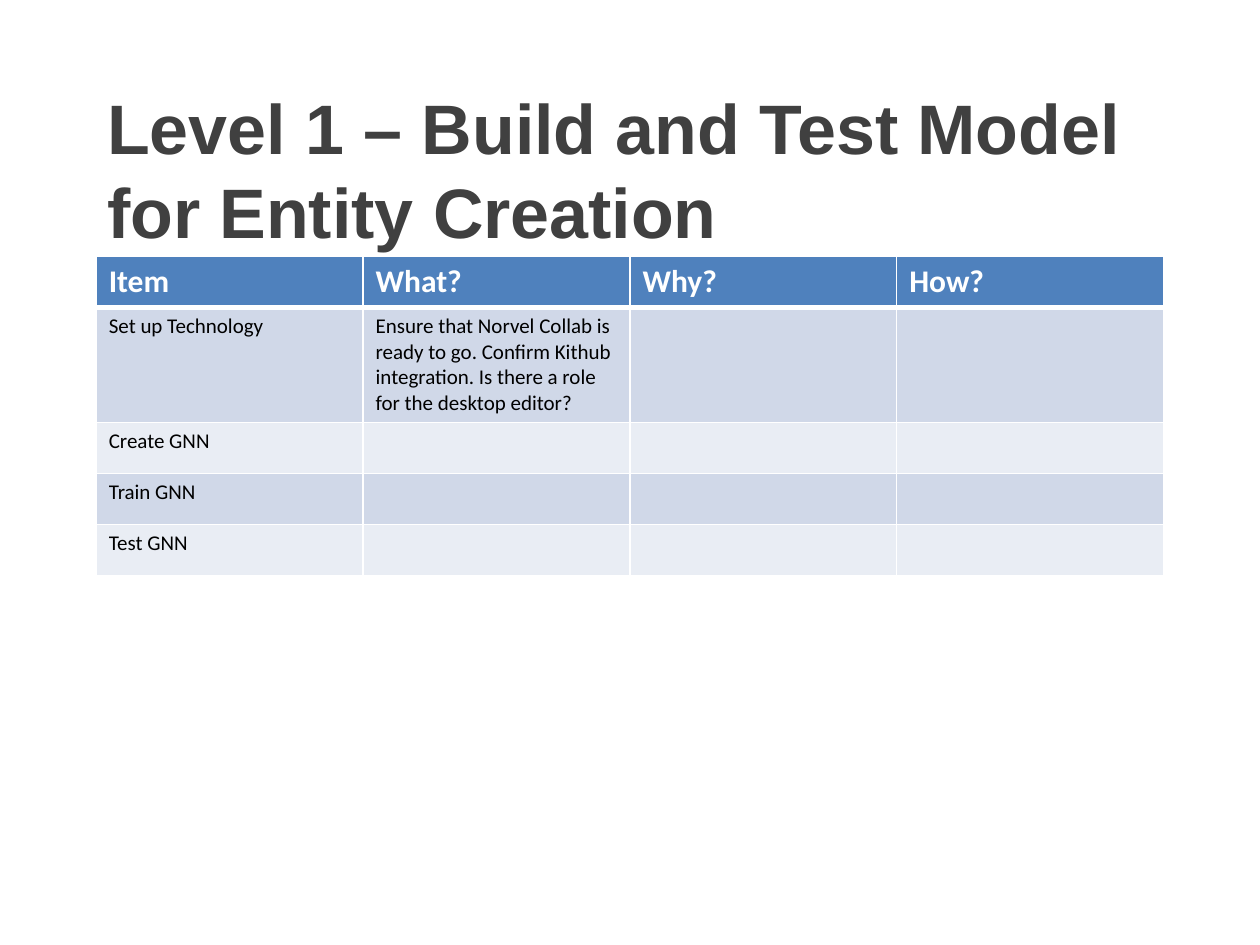
from lxml import etree
from pptx import Presentation
from pptx.dml.color import RGBColor
from pptx.enum.text import MSO_ANCHOR, MSO_AUTO_SIZE, PP_ALIGN
from pptx.oxml.ns import qn
from pptx.util import Pt

TOP = MSO_ANCHOR.TOP
LEFT = PP_ALIGN.LEFT
NO_FIT = MSO_AUTO_SIZE.NONE
TITLE_ONLY = 5

# Content
TITLE = "Level 1 – Build and Test Model for Entity Creation"
HEADERS = ["Item", "What?", "Why?", "How?"]
TASKS = [
    ("Set up Technology",
     "Ensure that Norvel Collab is ready to go. Confirm Kithub integration. "
     "Is there a role for the desktop editor?"),
    ("Create GNN",),
    ("Train GNN",),
    ("Test GNN",),
]

# Look
HEADER_FILL = "4F81BD"
BANDS = ["D0D8E8", "E9EDF4"]
COL_W, ROW_H = 152.5, 29.2


def color(code):
    return RGBColor.from_string(code)


def style(p, font, size, code, bold):
    p.font.name = font
    p.font.size = Pt(size)
    p.font.bold = bold
    p.font.color.rgb = color(code)


def border(cell, side, width, code):
    props = cell._tc.get_or_add_tcPr()
    line = etree.SubElement(props, qn(f"a:ln{side}"), w=str(Pt(width)))
    fill = etree.SubElement(line, qn("a:solidFill"))
    etree.SubElement(fill, qn("a:srgbClr"), val=code)


def main():
    prs = Presentation()
    prs.slide_width, prs.slide_height = Pt(720), Pt(540)
    s = prs.slides.add_slide(prs.slide_layouts[TITLE_ONLY])

    # Table
    rows, cols = len(TASKS) + 1, len(HEADERS)
    table = s.shapes.add_table(rows, cols, Pt(55), Pt(146.5),
                               Pt(COL_W * cols), Pt(ROW_H * rows)).table
    for col in table.columns:
        col.width = Pt(COL_W)
    for row in table.rows:
        row.height = Pt(ROW_H)

    for i, texts in enumerate([HEADERS, *TASKS]):
        header = i == 0
        for j in range(cols):
            cell = table.cell(i, j)
            if header:
                border(cell, "B", 3, "FFFFFF")
            cell.fill.solid()
            cell.fill.fore_color.rgb = color(
                HEADER_FILL if header else BANDS[(i - 1) % 2])
            if j < len(texts):
                cell.text = texts[j]
                style(cell.text_frame.paragraphs[0], "Calibri",
                      18 if header else 12,
                      "FFFFFF" if header else "000000", header)

    # Title, in front of the table
    title = s.shapes.title
    title.element.getparent().append(title.element)
    title.left, title.top = Pt(54), Pt(44.6)
    title.width, title.height = Pt(610.6), Pt(82.8)
    tf = title.text_frame
    tf.word_wrap = True
    tf.auto_size = NO_FIT
    tf.vertical_anchor = TOP
    tf.margin_left = tf.margin_right = Pt(7.2)
    tf.margin_top = Pt(3.6)
    tf.text = TITLE
    p = tf.paragraphs[0]
    p.alignment = LEFT
    p.line_spacing = 1.0
    style(p, "Arial", 40, "404040", True)

    prs.save("out.pptx")


if __name__ == "__main__":
    main()
